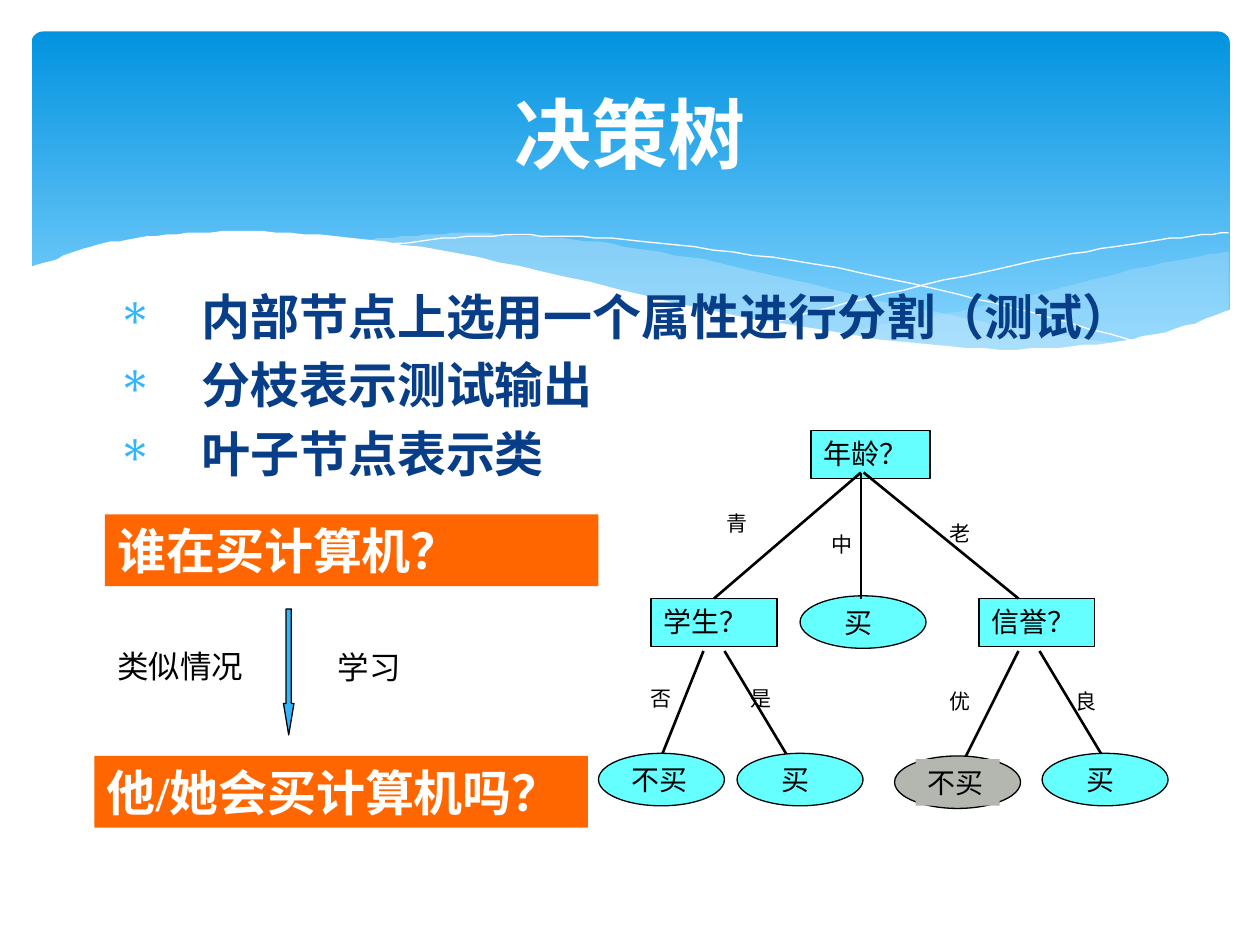
from dataclasses import dataclass

from lxml import etree
from pptx import Presentation
from pptx import util as u
from pptx.dml.color import RGBColor
from pptx.enum import shapes, text
from pptx.oxml import ns

Pt = u.Pt


@dataclass(frozen=True)
class Theme:
    sky_top: str = "0293E0"
    sky_bottom: str = "83D3FE"
    wave: str = "C6E7FC"
    white: str = "FFFFFF"
    black: str = "000000"
    navy: str = "073E87"
    accent: str = "31B6FD"
    node: str = "66FFFF"
    grey: str = "B4B6B0"
    orange: str = "FF6600"
    heading_font: str = "Cabin"
    body_font: str = "Times New Roman"
    title: int = 44
    large: int = 28
    note: int = 18
    node_text: int = 16
    branch: int = 12


T = Theme()

# Each wave edge is a few points that a smooth curve runs through.
RIGHT_TOP = [(702, 144), (683, 147), (652, 153), (620, 161), (580, 171), (542, 179),
             (508, 185), (476, 191)]
RIGHT_BOTTOM = [(476, 191), (508, 195), (536, 198), (562, 199.5), (586, 200), (608, 199),
                (634, 197), (657, 193), (678, 188), (702, 178)]
MIDDLE_TOP = [(643, 196.5), (603, 191), (558, 183), (508, 173), (453, 160), (410, 150),
              (370, 143), (335, 137.5), (302, 135), (274, 133), (248, 134), (225, 135.5),
              (206, 137.5)]
MIDDLE_BOTTOM = [(206, 137.5), (246, 143), (291, 152), (323, 160), (382, 173), (433, 184),
                 (479, 191.5), (520, 197), (557, 199.5), (589, 200), (617, 199), (643, 196.5)]
FALLING_LINE = [(222, 140), (253, 136), (289, 134.5), (324, 135), (367, 138), (419, 144),
                (479, 153), (547, 168), (598, 181), (653, 196)]
RISING_LINE = [(441, 185), (484, 173), (539, 160.5), (602, 147), (644, 140), (675, 135.5),
               (702, 133)]
FRONT_TOP = [(703, 177), (677, 186.5), (647, 193.5), (612, 198), (572, 199.5), (523, 196),
             (467, 188.5), (400, 176), (322, 158), (263, 145), (210, 137), (166, 133),
             (127, 132.5), (95, 134), (68, 137.5), (48, 142), (33, 147.5), (17, 153)]


def rgb(color):
    return RGBColor.from_string(color)


def smooth(points, steps=5):
    """Sample a Catmull-Rom curve through the points."""
    padded = [points[0], *points, points[-1]]
    curve = [points[0]]
    for a, b, c, d in zip(padded, padded[1:], padded[2:], padded[3:]):
        for t in (i / steps for i in range(1, steps + 1)):
            curve.append(tuple(
                (2 * q + (r - p) * t + (2 * p - 5 * q + 4 * r - s) * t ** 2
                 + (3 * q - p - 3 * r + s) * t ** 3) / 2
                for p, q, r, s in zip(a, b, c, d)))
    return curve


def paint(sp, fill=None, line=None, width=0.75, alpha=None):
    sp.shadow.inherit = False
    if fill:
        sp.fill.solid()
        sp.fill.fore_color.rgb = rgb(fill)
        if alpha:
            color = sp.fill._xPr.find(".//" + ns.qn("a:srgbClr"))
            etree.SubElement(color, ns.qn("a:alpha"), val=str(alpha * 1000))
    else:
        sp.fill.background()
    if line:
        sp.line.color.rgb = rgb(line)
        sp.line.width = Pt(width)
    else:
        sp.line.fill.background()


def add_curve(s, points, closed=True, **look):
    builder = s.shapes.build_freeform(*points[0], scale=float(Pt(1)))
    builder.add_line_segments(points[1:], close=closed)
    paint(builder.convert_to_shape(), **look)


def add_box(s, kind, x, y, w, h, **look):
    sp = s.shapes.add_shape(kind, Pt(x), Pt(y), Pt(w), Pt(h))
    paint(sp, **look)
    return sp


def write(sp, *lines, size, color=T.black, font=T.body_font, bold=False, wrap=True,
          align=text.PP_ALIGN.LEFT, anchor=text.MSO_ANCHOR.TOP, bullet=None):
    tf = sp.text_frame
    tf.word_wrap = wrap
    tf.vertical_anchor = anchor
    for i, line in enumerate(lines):
        p = tf.paragraphs[0] if i == 0 else tf.add_paragraph()
        p.alignment = align
        r = p.add_run()
        r.text = line
        r.font.size, r.font.bold, r.font.name = Pt(size), bold, font
        r.font.color.rgb = rgb(color)
        if bullet:
            p.space_before = Pt(size * 0.2)
            pPr = p._p.get_or_add_pPr()
            pPr.set("marL", str(Pt(48)))
            pPr.set("indent", str(-Pt(48)))
            mark = etree.SubElement(pPr, ns.qn("a:buClr"))
            etree.SubElement(mark, ns.qn("a:srgbClr"), val=T.accent)
            etree.SubElement(pPr, ns.qn("a:buChar"), char=bullet)


def add_text(s, x, y, w, h, *lines, **style):
    write(s.shapes.add_textbox(Pt(x), Pt(y), Pt(w), Pt(h)), *lines, **style)


def add_branch(s, x1, y1, x2, y2):
    line = s.shapes.add_connector(shapes.MSO_CONNECTOR.STRAIGHT, Pt(x1), Pt(y1), Pt(x2), Pt(y2))
    line.line.color.rgb = rgb(T.black)
    line.line.width = Pt(1.5)
    etree.SubElement(line._element.spPr, ns.qn("a:effectLst"))
    return line


def add_question(s, x, y, w, label):
    sp = add_box(s, shapes.MSO_SHAPE.RECTANGLE, x, y, w, 27.4, fill=T.node, line=T.black)
    write(sp, label, size=T.node_text)
    return sp


def add_leaf(s, x, y, label, inset=18, fill=T.node, plate=None):
    """Draw an answer; plate is the fill behind its label."""
    add_box(s, shapes.MSO_SHAPE.OVAL, x, y, 72, 30, fill=fill, line=T.black)
    sp = add_box(s, shapes.MSO_SHAPE.RECTANGLE, x + inset, y + 1.8, 48, 26.6, fill=plate)
    write(sp, label, size=T.node_text)


def add_banner(s, x, y, label):
    sp = add_box(s, shapes.MSO_SHAPE.RECTANGLE, x, y, 282, 41, fill=T.orange)
    write(sp, label, size=T.large, color=T.white, bold=True)


def draw_background(s):
    sky = add_box(s, shapes.MSO_SHAPE.ROUNDED_RECTANGLE, 18, 18, 684.7, 194.4)
    sky.adjustments[0] = 0.034
    sky.fill.gradient()
    sky.fill.gradient_angle = 270
    for stop, at, color in zip(sky.fill.gradient_stops, (0, 0.9), (T.sky_top, T.sky_bottom)):
        stop.position = at
        stop.color.rgb = rgb(color)
    add_curve(s, smooth(RIGHT_TOP) + smooth(RIGHT_BOTTOM), fill=T.wave, alpha=29)
    add_curve(s, smooth(MIDDLE_TOP) + smooth(MIDDLE_BOTTOM), fill=T.wave, alpha=40)
    for points in (FALLING_LINE, RISING_LINE):
        add_curve(s, smooth(points), closed=False, line=T.white, width=0)
    add_curve(s, smooth(FRONT_TOP) + [(17, 237), (703, 237)], fill=T.white)


def draw_tree(s):
    add_question(s, 463.5, 246, 68, "年龄？")
    student = add_question(s, 372, 342, 72, "学生？")
    add_question(s, 559.4, 342, 66, "信誉？")
    add_leaf(s, 457.2, 340.5, "买")
    add_branch(s, 492, 270, 408, 342).end_connect(student, 0)
    for ends in ((492, 270, 492, 342), (493.5, 270, 582, 342),
                 (402, 372, 378, 432), (414, 372, 450, 432),
                 (582, 372, 552, 432), (594, 372, 630, 432)):
        add_branch(s, *ends)
    for label, x, y in (("青", 408, 288), ("中", 468, 300), ("老", 535.5, 294),
                        ("否", 364.5, 388), ("是", 422, 388),
                        ("优", 535.5, 390), ("良", 607.5, 390)):
        add_text(s, x, y, 26.6, 21.6, label, size=T.branch, wrap=False)
    add_leaf(s, 342, 430.5, "不买", inset=12)
    add_leaf(s, 595.5, 430.5, "买")
    add_leaf(s, 421.2, 430.5, "买")
    add_leaf(s, 511.2, 432, "不买", inset=12, fill=T.grey, plate=T.grey)


def main():
    prs = Presentation()
    prs.slide_width, prs.slide_height = Pt(720), Pt(540)
    s = prs.slides.add_slide(prs.slide_layouts[6])
    draw_background(s)
    add_text(s, 36, 26.6, 648, 98.6, "决策树", size=T.title, color=T.white, bold=True,
             font=T.heading_font, align=text.PP_ALIGN.CENTER, anchor=text.MSO_ANCHOR.MIDDLE)
    add_text(s, 60, 160, 630, 342, "内部节点上选用一个属性进行分割（测试）", "分枝表示测试输出",
             "叶子节点表示类", size=T.large, color=T.navy, bold=True, font=T.heading_font,
             bullet="∗")
    draw_tree(s)
    add_banner(s, 60, 294, "谁在买计算机？")
    add_banner(s, 54, 432, "他/她会买计算机吗？")
    arrow = add_box(s, shapes.MSO_SHAPE.DOWN_ARROW, 162, 348, 6, 72, fill=T.accent, line=T.black)
    arrow.adjustments[0], arrow.adjustments[1] = 0.5, 3
    add_text(s, 60, 366, 96, 29, "类似情况", size=T.note)
    add_text(s, 186, 367, 108, 29, "学习", size=T.note)
    prs.save("out.pptx")


if __name__ == "__main__":
    main()
